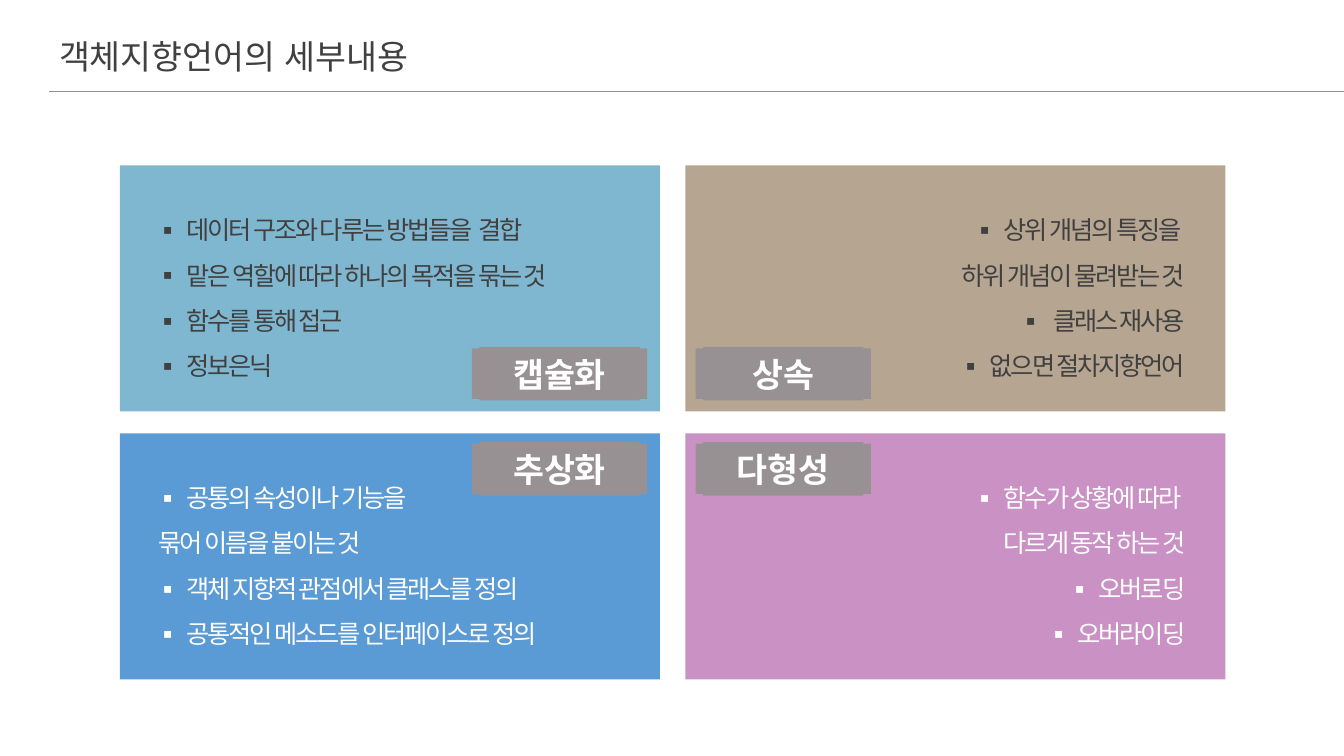
from dataclasses import dataclass

from lxml.etree import SubElement
from pptx import Presentation
from pptx.dml.color import RGBColor as RGB
from pptx.enum.shapes import MSO_CONNECTOR as CONN, MSO_SHAPE as SHAPE
from pptx.enum.text import MSO_ANCHOR as ANCHOR, MSO_AUTO_SIZE as FIT, PP_ALIGN as ALIGN
from pptx.oxml.ns import qn
from pptx.util import Cm, Pt


@dataclass(frozen=True)
class Theme:
    dark: str = "404040"
    light: str = "FFFFFF"
    gray: str = "989194"
    blue: str = "80B7D0"
    tan: str = "B5A591"
    azure: str = "5B9BD5"
    pink: str = "CA92C4"
    heading_font: str = "Arial"
    body_font: str = "Noto Sans CJK KR"
    heading_size: int = 24
    body_size: int = 18
    rule_width: float = 0.5
    tracking: int = -150
    bullet: str = "▪"
    indent: float = 0.79
    spacing: float = 1.5


class Deck:
    """Draws styled elements on the current slide."""

    def __init__(self, prs, theme):
        self.theme = theme
        self.s = prs.slides.add_slide(prs.slide_layouts[6])

    def apply(self, obj, values):
        for name, value in values.items():
            setattr(obj, name, value)

    def run(self, p, text, color, font, size, bold=False):
        r = p.add_run()
        self.apply(r, {"text": text})
        self.apply(r.font, {"name": font, "size": Pt(size), "bold": bold})
        r.font.color.rgb = RGB.from_string(color)
        SubElement(r._r.get_or_add_rPr(), qn("a:ea"), typeface=font)
        return r

    def heading(self, p, text, color, bold=False):
        return self.run(p, text, color, self.theme.heading_font, self.theme.heading_size, bold)

    def rect(self, x, y, w, h, fill, parent=None):
        sp = (parent or self.s).shapes.add_shape(SHAPE.RECTANGLE, Cm(x), Cm(y), Cm(w), Cm(h))
        sp.shadow.inherit = False
        sp.fill.solid()
        sp.fill.fore_color.rgb = RGB.from_string(fill)
        sp.line.fill.background()
        return sp

    def text_box(self, x, y, w, h):
        tf = self.s.shapes.add_textbox(Cm(x), Cm(y), Cm(w), Cm(h)).text_frame
        self.apply(tf, {"word_wrap": False, "auto_size": FIT.SHAPE_TO_FIT_TEXT})
        return tf

    def title(self, x, y, w, h, text):
        self.heading(self.text_box(x, y, w, h).paragraphs[0], text, self.theme.dark)

    def rule(self, x1, x2, y):
        line = self.s.shapes.add_connector(CONN.STRAIGHT, Cm(x1), Cm(y), Cm(x2), Cm(y))
        line.line.color.rgb = RGB.from_string(self.theme.gray)
        line.line.width = Pt(self.theme.rule_width)
        SubElement(line._element.spPr, qn("a:effectLst"))

    def bullets(self, x, y, w, h, lines, color, align):
        t = self.theme
        tf = self.text_box(x, y, w, h)
        for i, (text, marked) in enumerate(lines):
            p = tf.add_paragraph() if i else tf.paragraphs[0]
            self.apply(p, {"alignment": align, "line_spacing": t.spacing})
            if marked:
                self.mark(p)
            r = self.run(p, text, color, t.body_font, t.body_size)
            r._r.get_or_add_rPr().set("spc", str(t.tracking))

    def mark(self, p):
        pPr = p._p.get_or_add_pPr()
        indent = Cm(self.theme.indent)
        for name, value in {"marL": indent, "indent": -indent}.items():
            pPr.set(name, str(int(value)))
        SubElement(pPr, qn("a:buFont"), typeface=self.theme.body_font)
        SubElement(pPr, qn("a:buChar"), char=self.theme.bullet)

    def label(self, x, y, text):
        w, h, back_w, back_h = 4.42, 1.27, 4.04, 1.35
        group = self.s.shapes.add_group_shape()
        fill = self.theme.gray
        self.rect(x + (w - back_w) / 2, y + (h - back_h) / 2, back_w, back_h, fill, group)
        tf = self.rect(x, y, w, h, fill, group).text_frame
        self.apply(tf, {"word_wrap": True, "vertical_anchor": ANCHOR.MIDDLE,
                        "auto_size": FIT.SHAPE_TO_FIT_TEXT})
        p = tf.paragraphs[0]
        p.alignment = ALIGN.CENTER
        self.heading(p, text, self.theme.light, bold=True)


def main():
    prs = Presentation()
    prs.slide_width, prs.slide_height = Cm(33.87), Cm(19.05)
    t = Theme()
    deck = Deck(prs, t)
    deck.title(1.24, 0.79, 10.16, 1.27, "객체지향언어의 세부내용")
    deck.rule(1.24, 33.87, 2.31)

    panels = [
        ("캡슐화", t.blue, t.dark, 11.76, [
            ("데이터 구조와 다루는 방법들을  결합", True),
            ("맡은 역할에 따라 하나의 목적을 묶는 것", True),
            ("함수를 통해 접근", True),
            ("정보은닉", True)]),
        ("상속", t.tan, t.dark, 6.91, [
            ("상위 개념의 특징을 ", True),
            ("하위 개념이 물려받는 것", False),
            (" 클래스 재사용", True),
            ("없으면 절차지향언어", True)]),
        ("추상화", t.azure, t.light, 11.25, [
            ("공통의 속성이나 기능을", True),
            (" 묶어 이름을 붙이는 것", False),
            ("객체 지향적 관점에서 클래스를 정의", True),
            ("공통적인 메소드를 인터페이스로 정의", True)]),
        ("다형성", t.pink, t.light, 6.53, [
            ("함수가 상황에 따라 ", True),
            ("다르게 동작 하는 것", False),
            ("오버로딩", True),
            ("오버라이딩", True)]),
    ]
    text_left, text_right = 3.66, 30.12
    for i, (name, fill, color, width, lines) in enumerate(panels):
        row, col = divmod(i, 2)
        deck.rect(3.02 + col * 14.25, 4.17 + row * 6.75, 13.61, 6.2, fill)
        x = text_right - width if col else text_left
        align = ALIGN.RIGHT if col else ALIGN.LEFT
        deck.bullets(x, 4.9 + row * 6.75, width, 4.72, lines, color, align)
        deck.label(11.89 + col * 5.64, 8.78 + row * 2.4, name)
    prs.save("out.pptx")


if __name__ == "__main__":
    main()
